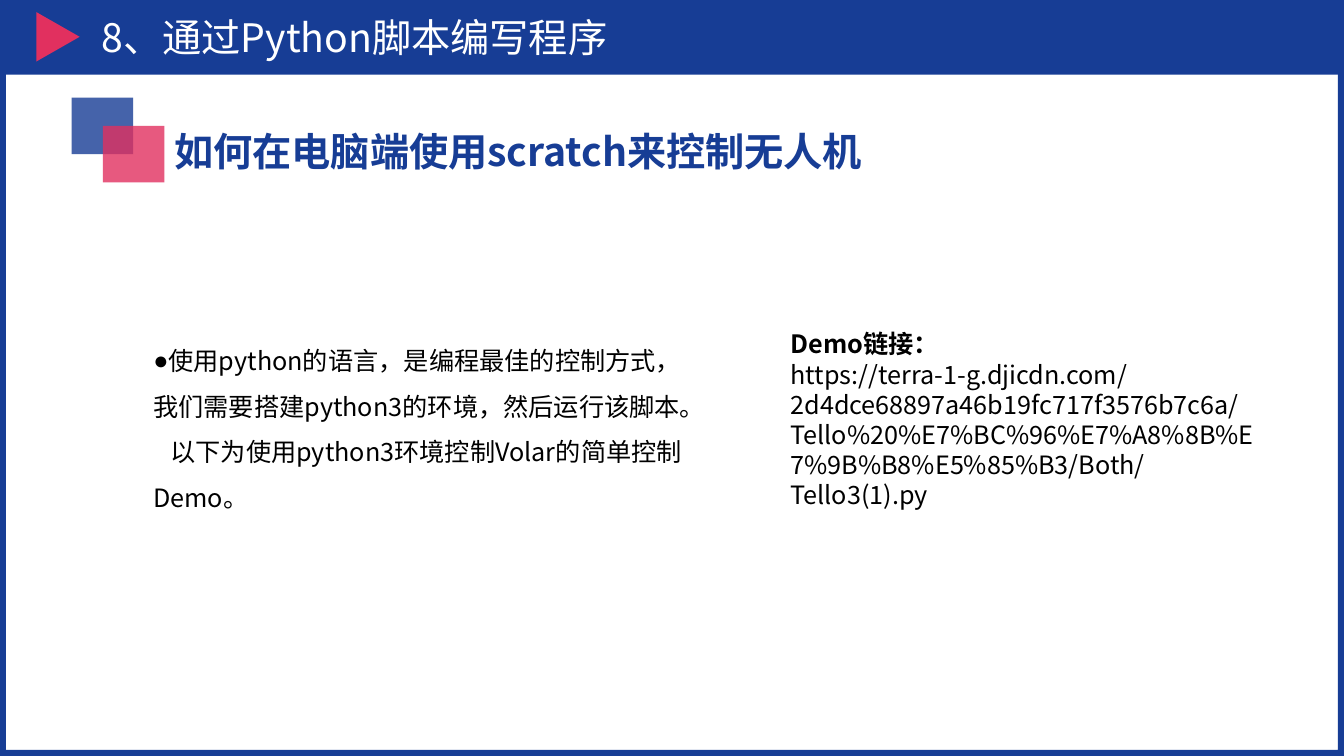
import pptx
import pptx.util
import pptx.dml.color
import pptx.enum.shapes
import pptx.enum.text
import pptx.oxml.ns
import lxml.etree

Inches = pptx.util.Inches
Kind = pptx.enum.shapes.MSO_SHAPE
Anchor = pptx.enum.text.MSO_ANCHOR
qn = pptx.oxml.ns.qn
FONT = "Noto Sans CJK SC"
BLUE, PINK, WHITE, BLACK = "173D95", "E1305F", "FFFFFF", "000000"

deck = pptx.Presentation()
deck.slide_width, deck.slide_height = Inches(13.33), Inches(7.5)
slide = deck.slides.add_slide(deck.slide_layouts[3])
title, left, right = slide.placeholders


def color(text):
    return pptx.dml.color.RGBColor.from_string(text)


def write(box, text, new=False, size=18, ink=BLACK, bold=False, space=1, mark=None, indent=0):
    frame = box.text_frame
    para = frame.add_paragraph() if new else frame.paragraphs[0]
    para.alignment = pptx.enum.text.PP_ALIGN.LEFT
    para.line_spacing = space
    para.space_before = pptx.util.Pt(0)
    props = para._p.get_or_add_pPr()
    props.set("marL", "0")
    props.set("indent", str(Inches(indent)))
    if mark:
        lxml.etree.SubElement(props, qn("a:buChar")).set("char", mark)
    else:
        lxml.etree.SubElement(props, qn("a:buNone"))
    run = para.add_run()
    run.text = text
    run.font.size = pptx.util.Pt(size)
    run.font.bold = bold
    run.font.color.rgb = color(ink)
    run.font.name = FONT
    east = lxml.etree.SubElement(run._r.get_or_add_rPr(), qn("a:ea"))
    east.set("typeface", FONT)


# Frame, header bar, arrow and the two overlapping squares
parts = [
    (Kind.FRAME, 0, 0, 13.33, 7.5, BLUE, 100),
    (Kind.RECTANGLE, 0, 0, 13.33, 0.74, BLUE, 100),
    (Kind.ISOSCELES_TRIANGLE, 0.33, 0.15, 0.49, 0.43, PINK, 100),
    (Kind.RECTANGLE, 0.71, 0.97, 0.61, 0.56, BLUE, 80),
    (Kind.RECTANGLE, 1.02, 1.25, 0.61, 0.56, PINK, 80),
]
for kind, x, y, wide, high, fill, alpha in parts:
    shape = slide.shapes.add_shape(kind, Inches(x), Inches(y), Inches(wide), Inches(high))
    shape.shadow.inherit = False
    shape.fill.solid()
    shape.fill.fore_color.rgb = color(fill)
    shape.line.fill.background()
    if kind == Kind.FRAME:
        shape.adjustments[0] = 0.008
    if kind == Kind.ISOSCELES_TRIANGLE:
        shape.rotation = 90
    if alpha < 100:
        tint = shape.element.spPr.find(".//" + qn("a:srgbClr"))
        lxml.etree.SubElement(tint, qn("a:alpha")).set("val", str(alpha * 1000))

# Text areas, placed in front of the shapes
head = slide.shapes.add_textbox(0, 0, 0, 0)
areas = [
    (head, 1.63, 1.21, 7.11, 0.57, Anchor.TOP),
    (title, 0.91, 0, 11.98, 0.74, Anchor.MIDDLE),
    (left, 1.42, 3.23, 5.49, 1.87, Anchor.TOP),
    (right, 7.74, 3.21, 4.88, 1.92, Anchor.TOP),
]
for box, x, y, wide, high, anchor in areas:
    box.left, box.top, box.width, box.height = map(Inches, (x, y, wide, high))
    box.text_frame.word_wrap = True
    box.text_frame.auto_size = pptx.enum.text.MSO_AUTO_SIZE.NONE
    box.text_frame.vertical_anchor = anchor
    box.element.getparent().append(box.element)

# Title and heading
write(title, "8、通过Python脚本编写程序", size=28, ink=WHITE)
write(head, "如何在电脑端使用scratch来控制无人机", size=28, ink=BLUE, bold=True)

# Explanation on the left
write(left, "使用python的语言，是编程最佳的控制方式，我们需要搭建python3的环境，然后运行该脚本。",
      space=1.5, mark="●")
write(left, "以下为使用python3环境控制Volar的简单控制Demo。", new=True, space=1.5, indent=0.17)

# Demo link on the right
write(right, "Demo链接：", bold=True)
write(right, "https://terra-1-g.djicdn.com/2d4dce68897a46b19fc717f3576b7c6a/"
      "Tello%20%E7%BC%96%E7%A8%8B%E7%9B%B8%E5%85%B3/Both/Tello3(1).py", new=True)

deck.save("out.pptx")
